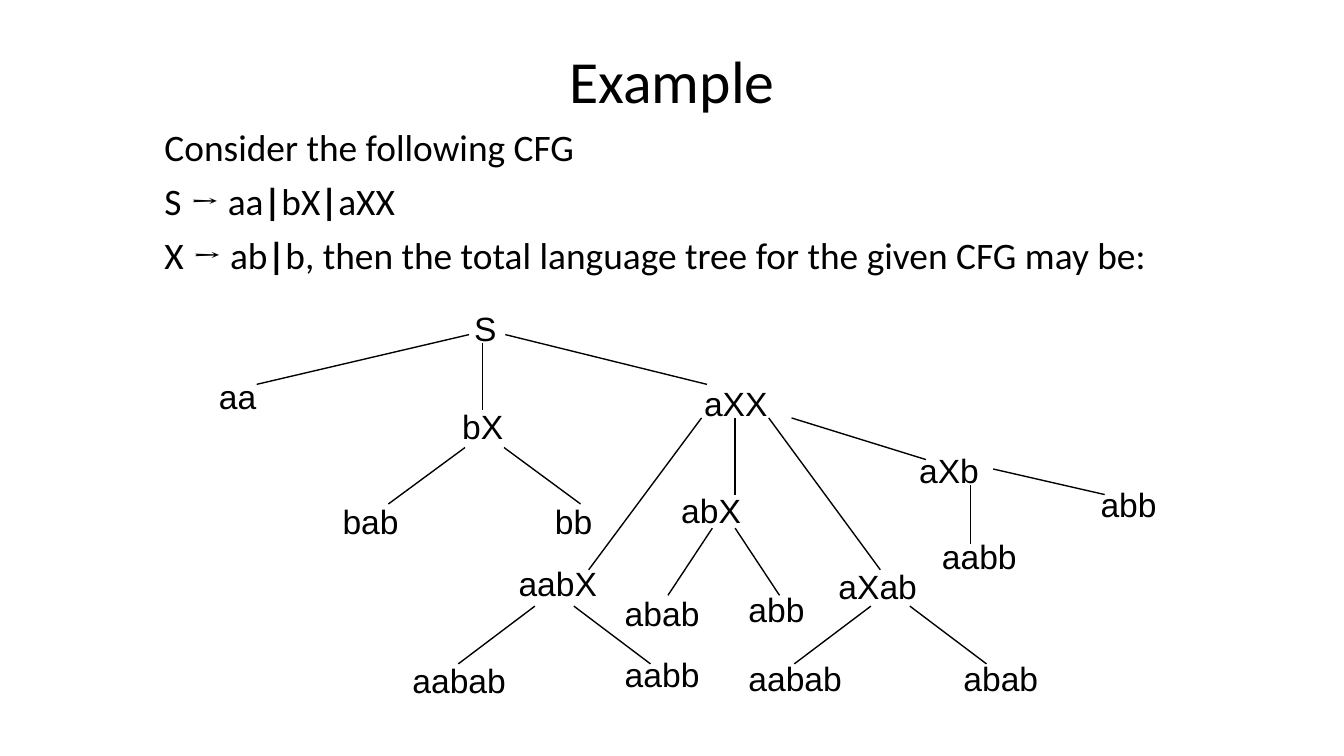
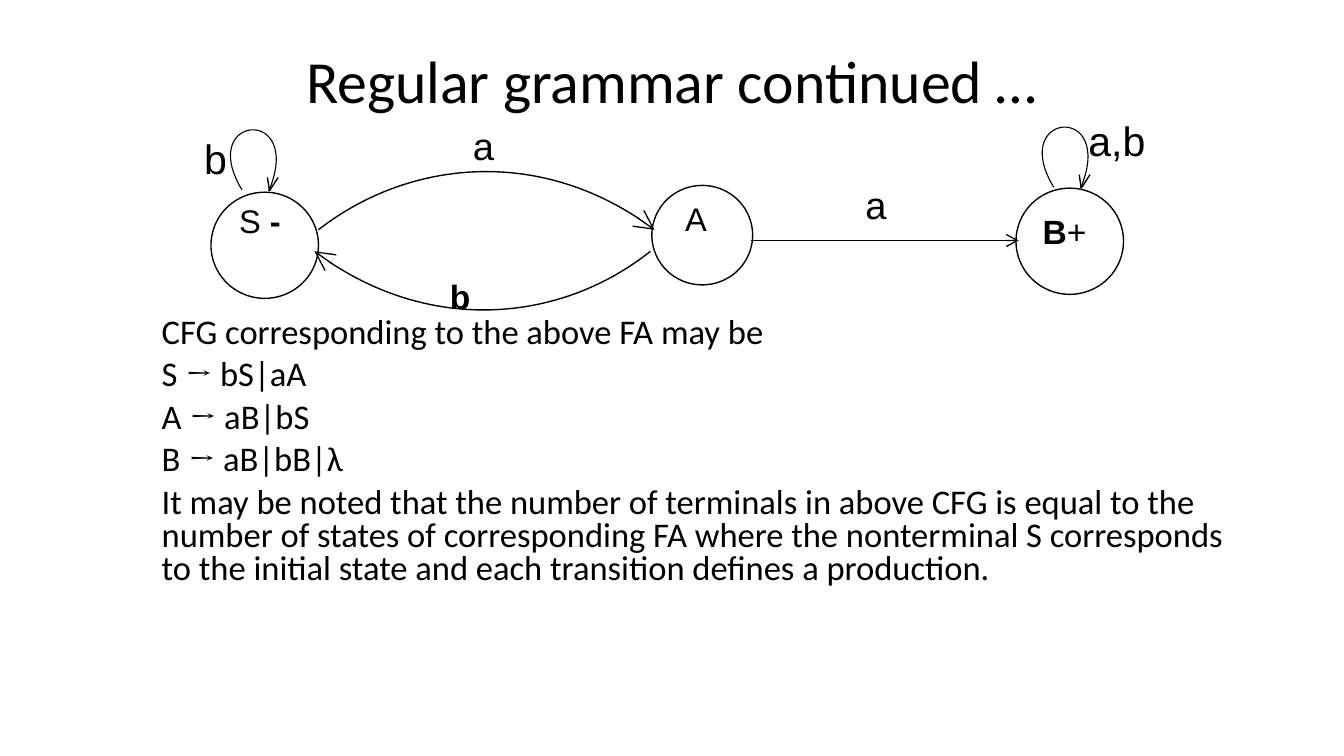
"""Build two slides on context-free grammars: a language tree and a finite automaton."""
from lxml import etree
from pptx import Presentation
from pptx import util as u
from pptx.dml.color import RGBColor
from pptx.enum import shapes, text
from pptx.oxml.ns import qn

BLACK = RGBColor(0, 0, 0)
WHITE = RGBColor(255, 255, 255)
GRID = u.Inches(0.1)
TITLE_AREA = (7.5, 1.2, 85, 9.4)
INDENT = 3.75
ARROW = ("→", False)

deck = Presentation()
deck.slide_width = u.Inches(10)
deck.slide_height = u.Inches(10) * 9 // 16


def write(page, area, paragraphs, size, font="Arial", spacing=1.0, indent=0):
    """Place paragraphs, each a list of (words, bold) spans, on the grid."""
    box = page.shapes.add_textbox(*[round(value * GRID) for value in area])
    frame = box.text_frame
    frame.word_wrap = True
    for index, spans in enumerate(paragraphs):
        para = frame.add_paragraph() if index else frame.paragraphs[0]
        para.line_spacing = spacing
        if indent:
            para._p.get_or_add_pPr().set("marL", str(round(indent * GRID)))
        if index:
            para.space_before = u.Pt(5)
        for words, bold in spans:
            span = para.add_run()
            span.text = words
            span.font.name = "Cambria" if words == "→" else font
            span.font.size = u.Pt(size)
            span.font.bold = bold
            span.font.color.rgb = BLACK
    return box


def outline(shape, width=0.75, arrow=None):
    """Give a shape or connector a thin black line without shadow."""
    shape.line.color.rgb = BLACK
    shape.line.width = u.Pt(width)
    properties = shape._element.spPr
    if arrow:
        etree.SubElement(properties.find(qn("a:ln")), qn("a:tailEnd"),
                         type="arrow", w=arrow, len=arrow)
    etree.SubElement(properties, qn("a:effectLst"))


pages = []
for heading in ("Example", "Regular grammar continued …"):
    page = deck.slides.add_slide(deck.slide_layouts[6])
    page.background.fill.solid()
    page.background.fill.fore_color.rgb = WHITE
    title = write(page, TITLE_AREA, [[(heading, False)]], 32, "Calibri")
    title.text_frame.vertical_anchor = text.MSO_ANCHOR.MIDDLE
    title.text_frame.paragraphs[0].alignment = text.PP_ALIGN.CENTER
    pages.append(page)
tree_page, automaton_page = pages

write(tree_page, (7.5, 8.75, 85, 33.7), [
    [("Consider the following CFG", False)],
    [("S ", False), ARROW, (" aa", False), ("|", True), ("bX", False), ("|", True), ("aXX", False)],
    [("X ", False), ARROW, (" ab", False), ("|", True),
     ("b, then the total language tree for the given CFG may be:", False)],
], 20, "Calibri", indent=INDENT)

tree_nodes = [
    ("S", 34.3, 22.4), ("aa", 15.3, 27.5), ("bX", 33.4, 29.7), ("aXX", 51.4, 28),
    ("bab", 24.5, 36.8), ("bb", 40.3, 36.8), ("aabX", 37.6, 41.4), ("abX", 49.7, 36),
    ("aXab", 61.4, 41.6), ("aXb", 67.4, 33), ("aabab", 29.7, 48.6), ("aabb", 45.5, 48.2),
    ("aabab", 54.7, 48.5), ("abab", 70.7, 48.5), ("aabb", 69.1, 39.4), ("abb", 80.9, 35.5),
    ("abab", 45.5, 43.6), ("abb", 54.7, 43.3),
]
for word, left, top in tree_nodes:
    node = write(tree_page, (left, top, 15.8, 4), [[(word, False)]], 18)
    node.text_frame.auto_size = text.MSO_AUTO_SIZE.SHAPE_TO_FIT_TEXT

branches = [
    (34.9, 24.9, 19.1, 28.6), (37.6, 24.9, 52.6, 28.6), (35.9, 25.5, 35.9, 30.5),
    (58.9, 31.1, 68.9, 34.2), (52.2, 31.1, 43.8, 42.4), (54.7, 31.1, 54.7, 36.8),
    (57.2, 31.1, 65.5, 42.4), (72.2, 36.1, 72.2, 40.5), (73.9, 34.9, 82.2, 36.8),
]
forks = [
    (36.05, 33.3, 1.45, 7.15, 4.2), (41.25, 45.1, 1.45, 7.15, 4.3),
    (66.25, 45.1, 1.45, 7.15, 4.3), (53.85, 39.3, 0.85, 4.15, 5),
]
for middle, top, near, far, drop in forks:
    for side in (-1, 1):
        branches.append((middle + side * near, top, middle + side * far, top + drop))
for ends in branches:
    branch = tree_page.shapes.add_connector(
        shapes.MSO_CONNECTOR.STRAIGHT, *[round(value * GRID) for value in ends])
    outline(branch)

write(automaton_page, (7.3, 23.15, 85, 24.1), [
    [("CFG corresponding to the above FA may be", False)],
    [("S ", False), ARROW, (" bS|aA", False)],
    [("A ", False), ARROW, (" aB|bS", False)],
    [("B ", False), ARROW, (" aB|bB|λ", False)],
    [("It may be noted that the number of terminals in above CFG is equal to the number of "
      "states of corresponding FA where the nonterminal S corresponds to the initial state "
      "and each transition defines a production.", False)],
], 18.5, "Calibri", 0.8, INDENT)

for state in ((15.7, 14.3, 8, 7.9), (48.5, 13.8, 7.5, 7.4), (75.6, 14, 8, 7.9)):
    circle = automaton_page.shapes.add_shape(
        shapes.MSO_SHAPE.OVAL, *[round(value * GRID) for value in state])
    circle.fill.solid()
    circle.fill.fore_color.rgb = WHITE
    outline(circle)

curves = [
    ([(48.4, 18.7), (42, 23.8), (31.7, 25), (23.4, 18.7)], 0, 0.75, "lg"),
    ([(23.7, 17.1), (30.1, 12.1), (40.4, 10.8), (48.7, 17.1)], 0, 0.75, "lg"),
]
straights = [(55.9, 17.9, 75.8, 17.9, "med")]
for x, y in ((18.4, 10.85), (78.8, 10.65)):
    loop = [(x - 0.1, y + 3.3), (x - 4, y - 2), (x + 4, y - 3.4), (x + 1.9, y + 3.2)]
    curves.append((loop, 5, 0.6, None))
    for barb in (1.5, 2.3):
        straights.append((x + barb, y + 2.35, x + 1.65, y + 3.35, None))

for points, turn, width, arrow in curves:
    start, *others = [(round(x * GRID), round(y * GRID)) for x, y in points]
    builder = automaton_page.shapes.build_freeform(*start)
    builder.add_line_segments(others, close=False)
    curve = builder.convert_to_shape()
    curve_outline = curve._element.spPr.find(".//" + qn("a:path"))
    bezier = etree.SubElement(curve_outline, qn("a:cubicBezTo"))
    for segment in curve_outline.findall(qn("a:lnTo")):
        bezier.append(segment[0])
        curve_outline.remove(segment)
    curve.rotation = turn
    curve.fill.background()
    outline(curve, width, arrow)

for *ends, arrow in straights:
    straight = automaton_page.shapes.add_connector(
        shapes.MSO_CONNECTOR.STRAIGHT, *[round(value * GRID) for value in ends])
    outline(straight, arrow=arrow)

automaton_labels = [
    ((80, 8.1, 11.2, 7.5), [("a,b", False)], 22, 1.0),
    ((14.2, 9.4, 11.2, 7.5), [("b", False)], 22, 1.0),
    ((34.2, 9, 4.7, 4.5), [("a", False)], 20.4, 0.9),
    ((63.4, 13.4, 4.7, 4.5), [("a", False)], 20.4, 0.9),
    ((32.5, 20, 4.7, 4.5), [("b", True)], 18, 1.0),
    ((16.8, 15, 7.5, 4), [("S ", False), ("-", True)], 17.5, 0.8),
    ((76.6, 15.2, 7.8, 4.8), [("B", True), ("+", False)], 18, 1.0),
    ((50, 14.9, 7.5, 4), [("A", False)], 17.5, 0.8),
]
for area, spans, size, spacing in automaton_labels:
    write(automaton_page, area, [spans], size, spacing=spacing)

deck.save("out.pptx")
